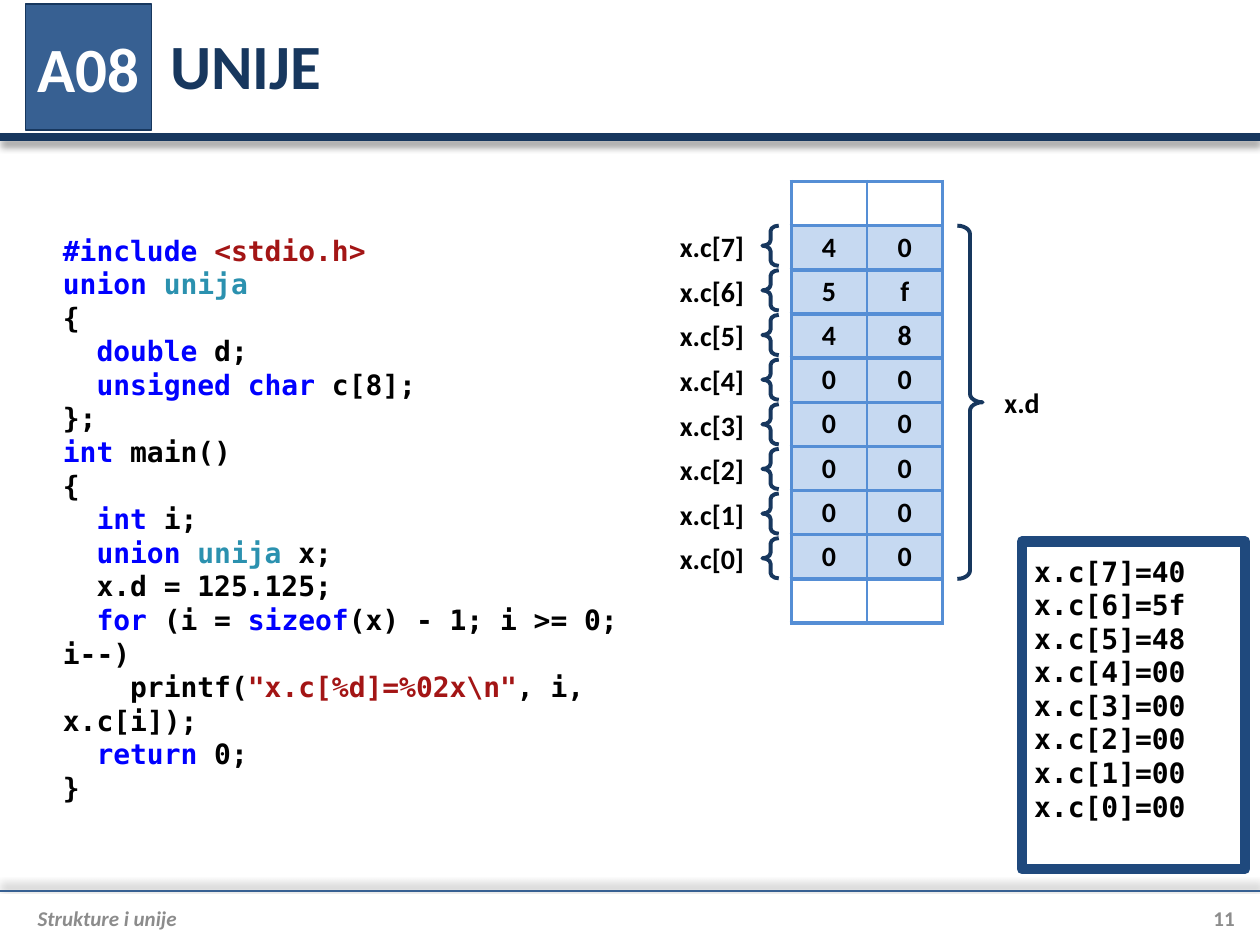
import pptx
import pptx.dml.color
import pptx.enum.shapes
import pptx.enum.text
import pptx.oxml
import pptx.oxml.ns
import pptx.util

Cm = pptx.util.Cm
Pt = pptx.util.Pt
SHAPES = pptx.enum.shapes.MSO_SHAPE
ALIGN = pptx.enum.text.PP_ALIGN
ANCHOR = pptx.enum.text.MSO_ANCHOR

SANS, MONO = "Calibri", "DejaVu Sans Mono"
NAVY, BLUE, GRAY, BLACK, WHITE = "17375E", "376092", "8C8C8C", "000000", "FFFFFF"
KEYWORD, STRING, TYPE = "0000FF", "A31515", "2B91AF"
BORDER, BYTE_FILL = "558ED5", "C6D9F1"

ROW_HEIGHT = 0.89
BYTES = ["40", "5f", "48", "00", "00", "00", "00", "00"]
CODE = [
    [("#include ", KEYWORD), ("<stdio.h>", STRING)],
    [("union ", KEYWORD), ("unija", TYPE)],
    "{",
    [("  double", KEYWORD), " d;"],
    [("  unsigned char", KEYWORD), " c[8];"],
    "};",
    [("int", KEYWORD), " main()"],
    "{",
    [("  int", KEYWORD), " i;"],
    [("  union ", KEYWORD), ("unija", TYPE), " x;"],
    "  x.d = 125.125;",
    [("  for", KEYWORD), " (i = ", ("sizeof", KEYWORD), "(x) - 1; i >= 0; i--)"],
    ["    printf(", ('"x.c[%d]=%02x\\n"', STRING), ", i, x.c[i]);"],
    [("  return", KEYWORD), " 0;"],
    "}",
]


def rgb(color):
    return pptx.dml.color.RGBColor.from_string(color)


def namespaced(xml):
    return pptx.oxml.parse_xml(xml.replace(" ", f" {pptx.oxml.ns.nsdecls('a')} ", 1))


def write_text(frame, paragraphs, size=16, font=SANS, color=BLACK, bold=True,
               italic=False, align=ALIGN.LEFT, anchor=ANCHOR.TOP,
               margins=(0.25, 0.13, 0.25, 0.13), wrap=True):
    """Fill a frame; a paragraph is a string or a list of strings and (text, color)."""
    frame.word_wrap = wrap
    frame.vertical_anchor = anchor
    (frame.margin_left, frame.margin_top,
     frame.margin_right, frame.margin_bottom) = map(Cm, margins)
    for index, content in enumerate(paragraphs):
        paragraph = frame.add_paragraph() if index else frame.paragraphs[0]
        paragraph.alignment = align
        for part in [content] if isinstance(content, str) else content:
            text, run_color = (part, color) if isinstance(part, str) else part
            run = paragraph.add_run()
            run.text = text
            run.font.name, run.font.size = font, Pt(size)
            run.font.bold, run.font.italic = bold, italic
            run.font.color.rgb = rgb(run_color)


def add_text(slide, box, paragraphs, **text_format):
    shape = slide.shapes.add_textbox(*map(Cm, box))
    write_text(shape.text_frame, paragraphs, **text_format)


def add_shape(slide, kind, box, line, width, fill=None):
    shape = slide.shapes.add_shape(kind, *map(Cm, box))
    shape.shadow.inherit = False
    if fill:
        shape.fill.solid()
        shape.fill.fore_color.rgb = rgb(fill)
    else:
        shape.fill.background()
    shape.line.color.rgb = rgb(line)
    shape.line.width = Pt(width)
    return shape


def add_brace(slide, kind, box):
    brace = add_shape(slide, kind, box, NAVY, 2.25)
    brace.adjustments[0] = 0.333


def add_rule(slide, top, color, width, shadow_degrees):
    """Draw a line across the slide with a soft shadow on one side."""
    rule = slide.shapes.add_connector(
        pptx.enum.shapes.MSO_CONNECTOR.STRAIGHT, 0, Cm(top), Cm(25.4), Cm(top))
    rule.line.color.rgb = rgb(color)
    rule.line.width = Pt(width)
    rule.element.spPr.append(namespaced(
        f'<a:effectLst ><a:outerShdw blurRad="{Pt(4)}" dist="{Pt(3)}" '
        f'dir="{shadow_degrees * 60000}" rotWithShape="0"><a:srgbClr val="000000">'
        '<a:alpha val="40000"/></a:srgbClr></a:outerShdw></a:effectLst>'))


def add_header(slide, box, number, title):
    left, top, width, height = box
    add_rule(slide, 2.77, NAVY, 4.5, 90)
    badge = add_shape(slide, SHAPES.RECTANGLE, (left, top, height, height), NAVY, 0.75, BLUE)
    write_text(badge.text_frame, [number], size=36, color=WHITE, align=ALIGN.CENTER,
               anchor=ANCHOR.MIDDLE, margins=(0, 0, 0, 0))
    heading = slide.shapes.title
    offset = height + 0.13
    heading.left, heading.top = Cm(left + offset), Cm(top - 0.05)
    heading.width, heading.height = Cm(width - offset), Cm(height)
    write_text(heading.text_frame, [title], size=36, color=NAVY, anchor=ANCHOR.MIDDLE)


def add_footer(slide, box, text, number):
    left, top, width, height = box
    number_width = 1.27
    add_rule(slide, 17.96, BLUE, 1.5, 270)
    add_text(slide, (left, top, width - number_width, height), [text], size=12, color=GRAY,
             italic=True, anchor=ANCHOR.MIDDLE, margins=(0.25, 0, 0, 0))
    add_text(slide, (left + width - number_width, top, number_width, height), [number],
             size=12, color=GRAY, align=ALIGN.RIGHT, anchor=ANCHOR.MIDDLE,
             margins=(0, 0, 0, 0))


def set_borders(cell, widths):
    """Set the left, right, top and bottom border widths."""
    properties = cell._tc.get_or_add_tcPr()
    for index, (side, width) in enumerate(zip("LRTB", widths)):
        properties.insert(index, namespaced(
            f'<a:ln{side} w="{Pt(width)}"><a:solidFill><a:srgbClr val="{BORDER}"/>'
            f'</a:solidFill></a:ln{side}>'))


def add_memory_table(slide, box, rows, filled):
    """Show one byte a row, one hex digit a cell; filled holds the shaded rows."""
    table = slide.shapes.add_table(len(rows), 2, *map(Cm, box)).table
    table.first_row = table.horz_banding = False
    for row_index, digits in enumerate(rows):
        for column_index, digit in enumerate(digits):
            cell = table.cell(row_index, column_index)
            write_text(cell.text_frame, [digit.strip()], align=ALIGN.CENTER)
            cell.vertical_anchor = ANCHOR.MIDDLE
            cell.margin_left = cell.margin_right = 0
            cell.margin_top = cell.margin_bottom = 0
            if row_index in filled:
                cell.fill.solid()
                cell.fill.fore_color.rgb = rgb(BYTE_FILL)
            else:
                cell.fill.background()
            sides = (1, 2.25) if column_index else (2.25, 1)
            set_borders(cell, (*sides, 2.25, 2.25))


def add_memory(slide, box):
    """Place the memory column with the byte labels left and the union label right."""
    left, top, width, height = box
    count = len(BYTES)
    bytes_top, bytes_height = top + ROW_HEIGHT, count * ROW_HEIGHT
    add_memory_table(slide, box, ["  "] * (count + 2), range(1, count + 1))
    add_memory_table(slide, (left, bytes_top, width, bytes_height), BYTES, range(count))
    label = {"align": ALIGN.CENTER, "anchor": ANCHOR.MIDDLE, "wrap": False}
    right = left + width
    add_brace(slide, SHAPES.RIGHT_BRACE, (right + 0.3, bytes_top, 0.51, bytes_height))
    add_text(slide, (right + 0.97, bytes_top + bytes_height / 2 - 0.43, 1.27, 0.85),
             ["x.d"], **label)
    for index in range(count):
        row_top = bytes_top + index * 0.9
        add_brace(slide, SHAPES.LEFT_BRACE, (left - 0.58, row_top, 0.33, 0.81))
        add_text(slide, (left - 2.56, row_top - 0.03, 1.93, 0.89),
                 [f"x.c[{count - 1 - index}]"], **label)


def add_output(slide, box):
    frame = add_shape(slide, SHAPES.RECTANGLE, box, "1F497D", 6, WHITE)
    lines = [f"x.c[{len(BYTES) - 1 - index}]={byte}" for index, byte in enumerate(BYTES)]
    write_text(frame.text_frame, lines, font=MONO, margins=(0.25, 0.25, 0.25, 0.25))


def main():
    presentation = pptx.Presentation()
    presentation.slide_width, presentation.slide_height = Cm(25.4), Cm(19.05)
    slide = presentation.slides.add_slide(presentation.slide_layouts[5])
    add_header(slide, (0.51, 0.08, 24.38, 2.54), "A08", "UNIJE")
    add_text(slide, (1.02, 4.57, 13.21, 10.52), CODE, font=MONO)
    add_output(slide, (20.6, 10.92, 4.5, 6.6))
    add_memory(slide, (15.95, 3.66, 3.05, 8.9))
    add_footer(slide, (0.51, 18.06, 24.38, 0.89), "Strukture i unije", "11")
    presentation.save("out.pptx")


if __name__ == "__main__":
    main()
